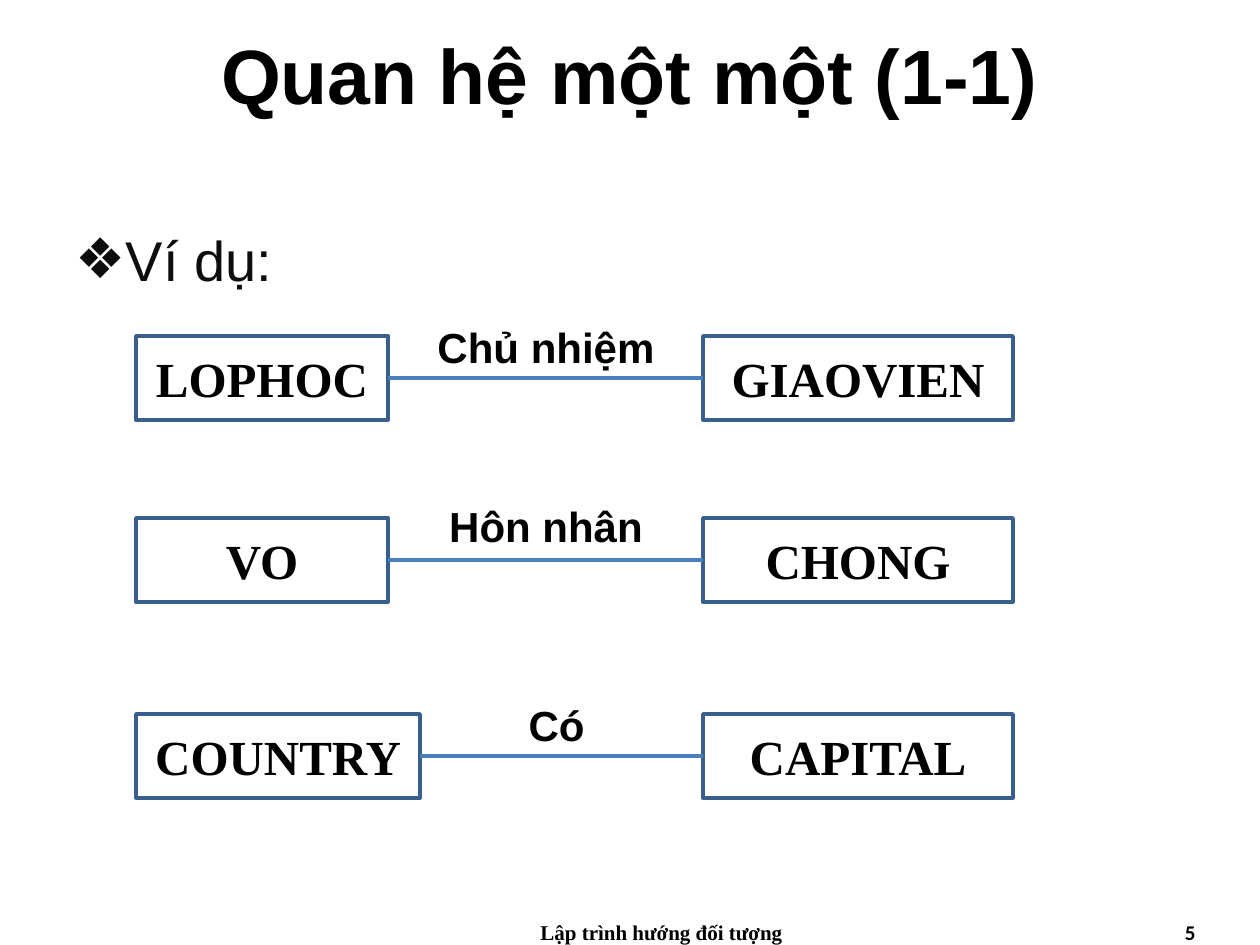
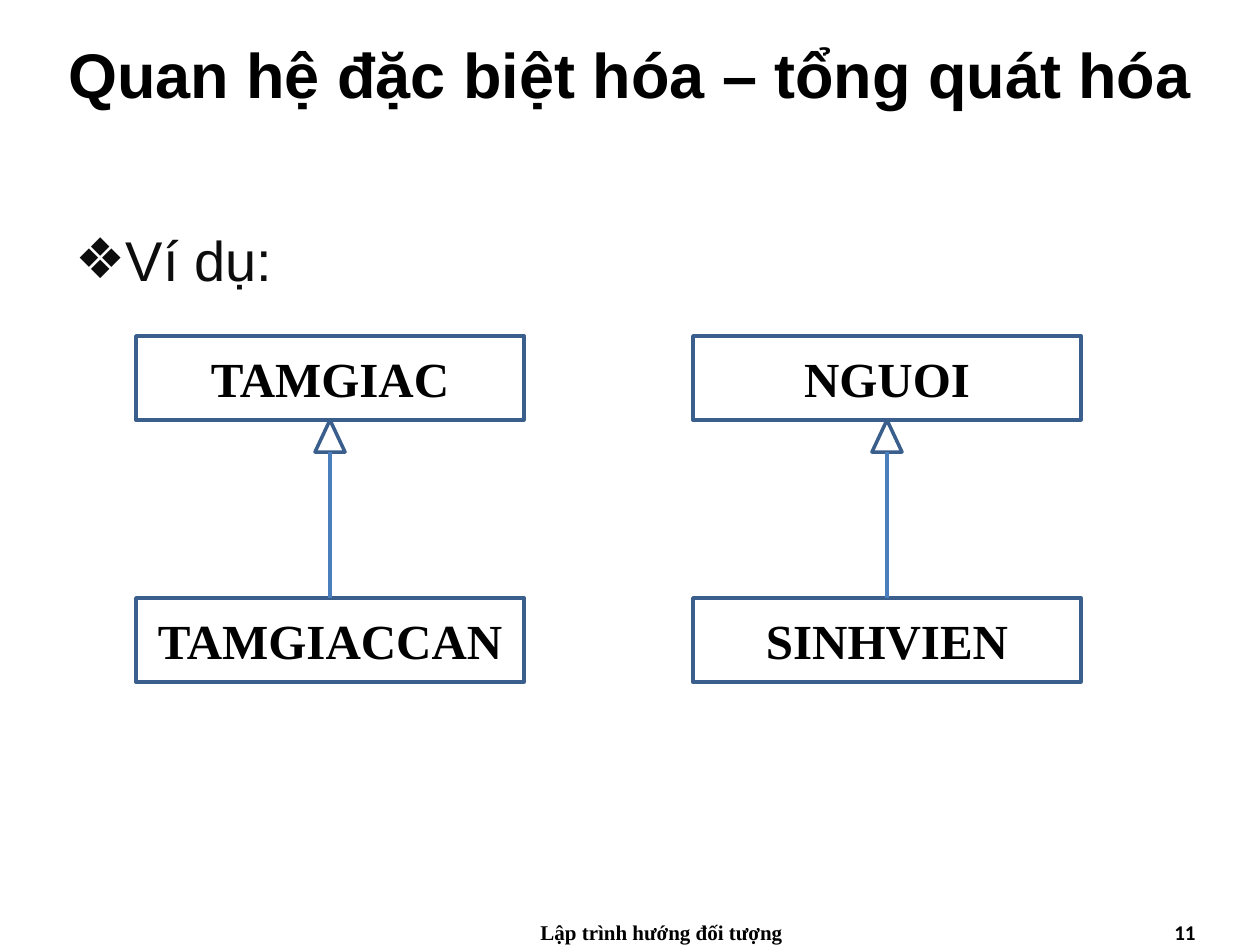
from lxml import etree
from pptx import Presentation
from pptx.dml.color import RGBColor
from pptx.enum.shapes import MSO_CONNECTOR, MSO_SHAPE
from pptx.enum.text import MSO_ANCHOR as Anchor, MSO_AUTO_SIZE as AutoSize, PP_ALIGN as Align
from pptx.oxml.ns import qn
from pptx.util import Pt

EMU_PER_PX = 914400 / 126
BLACK = RGBColor(0x00, 0x00, 0x00)
BODY_INK = RGBColor(0x0D, 0x0D, 0x0D)
BOX_BLUE = RGBColor(0x3A, 0x5F, 0x8C)
LINK_BLUE = RGBColor(0x4B, 0x7E, 0xBC)
SANS, SERIF, NUMBER_FONT = "Arial", "Times New Roman", "Calibri"

ENTITY_LEFT = 136
ENTITY_TOP = 336
ENTITY_HEIGHT = 84
PARTNER_LEFT, PARTNER_WIDTH = 703, 310
CLASS_WIDTH = 388
SUBCLASS_TOP = 598
HEAD_WIDTH, HEAD_HEIGHT = 30, 32
FOOTER_TOP, FOOTER_HEIGHT = 913, 32


def emu(*lengths):
    """Turn px lengths into EMU."""
    return [round(length * EMU_PER_PX) for length in lengths]


def place(shape, *bounds):
    """Move and size a shape."""
    shape.left, shape.top, shape.width, shape.height = emu(*bounds)


def write(shape, text, font, size, align=Align.CENTER, bold=True, color=BLACK, anchor=Anchor.TOP):
    """Fill a shape with one formatted paragraph and return it."""
    frame = shape.text_frame
    frame.word_wrap = True
    frame.auto_size = AutoSize.NONE
    frame.vertical_anchor = anchor
    frame.text = text
    paragraph = frame.paragraphs[0]
    paragraph.alignment = align
    paragraph.font.name = font
    paragraph.font.size = Pt(size)
    paragraph.font.bold = bold
    paragraph.font.color.rgb = color
    return paragraph


def add_label(slide, bounds, text, font, size, align=Align.CENTER):
    """Add a bold text box."""
    write(slide.shapes.add_textbox(*emu(*bounds)), text, font, size, align)


def add_bullet(paragraph, char, indent):
    """Give a paragraph a hanging bullet."""
    properties = paragraph._p.get_or_add_pPr()
    properties.set("marL", str(indent))
    properties.set("indent", str(-indent))
    bullet = etree.Element(qn("a:buChar"), char=char)
    properties.insert_element_before(bullet, "a:tabLst", "a:defRPr", "a:extLst")


def add_example_slide(deck, title, title_size, number):
    """Add a slide with title, example bullet and footers."""
    slide = deck.slides.add_slide(deck.slide_layouts[1])
    heading, body = slide.placeholders
    place(heading, 0, 0, 1260, 147)
    write(heading, title, SANS, title_size, anchor=Anchor.MIDDLE)
    place(body, 63, 199, 1155, 679)
    example = write(body, "Ví dụ:", SANS, 32, Align.JUSTIFY, False, BODY_INK)
    add_bullet(example, "❖", emu(47)[0])
    example.line_spacing = 1.3
    example.space_before = Pt(0)
    example.space_after = Pt(3)
    add_label(slide, (462, FOOTER_TOP, 399, FOOTER_HEIGHT), "Lập trình hướng đối tượng", SERIF, 12)
    add_label(slide, (914, FOOTER_TOP, 294, FOOTER_HEIGHT), str(number), NUMBER_FONT, 12, Align.RIGHT)
    return slide


def add_outline(slide, preset, *bounds):
    """Add an unfilled shape with a blue outline."""
    shape = slide.shapes.add_shape(preset, *emu(*bounds))
    shape.shadow.inherit = False
    shape.fill.background()
    shape.line.color.rgb = BOX_BLUE
    shape.line.width = Pt(2)
    return shape


def add_entity(slide, name, left, top, width):
    """Add a named entity box."""
    entity = add_outline(slide, MSO_SHAPE.RECTANGLE, left, top, width, ENTITY_HEIGHT)
    write(entity, name, SERIF, 28, anchor=Anchor.MIDDLE)


def add_link(slide, *ends):
    """Draw a straight line between two points."""
    link = slide.shapes.add_connector(MSO_CONNECTOR.STRAIGHT, *emu(*ends))
    link.line.color.rgb = LINK_BLUE
    link.line.width = Pt(2)
    etree.SubElement(link._element.spPr, qn("a:effectLst"))


def add_relation(slide, top, entity, width, partner, relation, label_bounds):
    """Add two entities joined by a labelled line."""
    add_entity(slide, entity, ENTITY_LEFT, top, width)
    add_entity(slide, partner, PARTNER_LEFT, top, PARTNER_WIDTH)
    middle = top + ENTITY_HEIGHT // 2
    add_link(slide, ENTITY_LEFT + width, middle, PARTNER_LEFT, middle)
    add_label(slide, label_bounds, relation, SANS, 24)


def add_inheritance(slide, left, parent, child):
    """Add a subclass pointing up to its superclass."""
    add_entity(slide, parent, left, ENTITY_TOP, CLASS_WIDTH)
    add_entity(slide, child, left, SUBCLASS_TOP, CLASS_WIDTH)
    center = left + CLASS_WIDTH // 2
    head_top = ENTITY_TOP + ENTITY_HEIGHT
    add_outline(slide, MSO_SHAPE.ISOSCELES_TRIANGLE, center - HEAD_WIDTH // 2,
                head_top, HEAD_WIDTH, HEAD_HEIGHT)
    add_link(slide, center, SUBCLASS_TOP, center, head_top + HEAD_HEIGHT)


def main():
    """Build and save the deck."""
    deck = Presentation()
    deck.slide_width, deck.slide_height = emu(1260, 945)

    one_to_one = add_example_slide(deck, "Quan hệ một một (1-1)", 44, 5)
    relations = [
        (ENTITY_TOP, "LOPHOC", 252, "GIAOVIEN", "Chủ nhiệm", (420, 315, 252, 63)),
        (518, "VO", 252, "CHONG", "Hôn nhân", (420, 494, 252, 63)),
        (714, "COUNTRY", 284, "CAPITAL", "Có", (441, 693, 231, 63)),
    ]
    for relation in relations:
        add_relation(one_to_one, *relation)

    generalization = add_example_slide(deck, "Quan hệ đặc biệt hóa – tổng quát hóa", 36, 11)
    add_inheritance(generalization, ENTITY_LEFT, "TAMGIAC", "TAMGIACCAN")
    add_inheritance(generalization, 693, "NGUOI", "SINHVIEN")

    deck.save("out.pptx")


if __name__ == "__main__":
    main()
